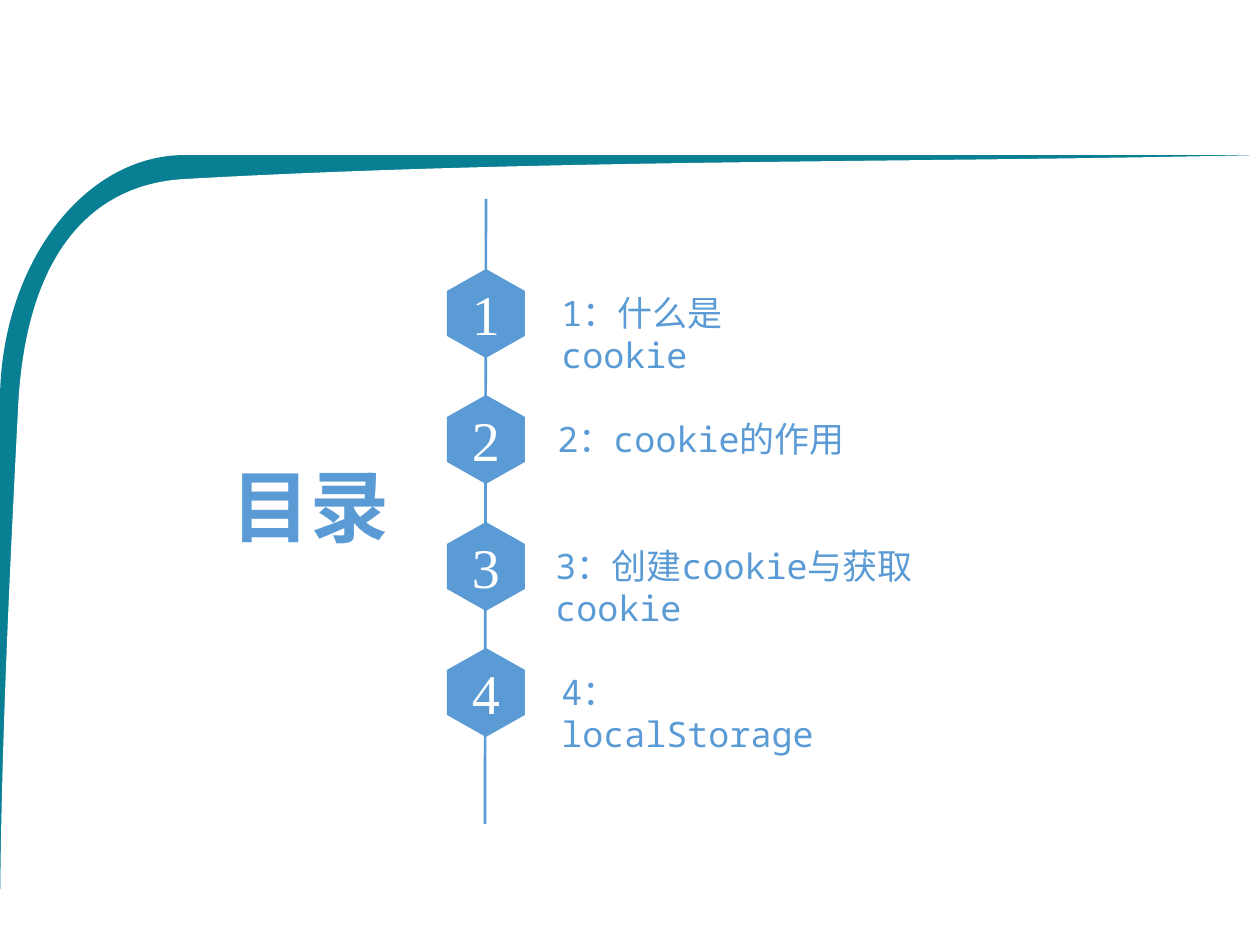
import pptx
import pptx.util
import pptx.dml.color
import pptx.enum.shapes
import pptx.enum.text
import pptx.oxml
import pptx.oxml.ns
from dataclasses import dataclass

PX = 914400 / 126


@dataclass(frozen=True)
class Theme:
    blue: str = "5B9BD5"
    teal: str = "087F92"
    white: str = "FFFFFF"
    text_font: str = "Noto Sans Mono"
    number_font: str = "Times New Roman"
    title_size: int = 45
    number_size: int = 32
    item_size: int = 20
    line_width: float = 1.5


THEME = Theme()

# Contents: left, width and wording of each entry
ENTRIES = [
    (549, 309, "1：什么是cookie"),
    (545, 318, "2：cookie的作用"),
    (543, 503, "3：创建cookie与获取cookie"),
    (549, 301, "4：localStorage"),
]

# Backdrop: colour, corner points, and the first point of each curve
BACKDROP = [
    (THEME.teal,
     [(185, 155), (1260, 155), (1260, 945), (0, 945), (0, 402),
      (0, 266), (83, 155), (185, 155)],
     [5]),
    (THEME.white,
     [(185, 179), (543, 159), (902, 163), (1260, 155), (1260, 945), (0, 945),
      (0, 764), (10, 568), (18, 411), (25, 252), (93, 184), (185, 179)],
     [1, 6, 9]),
]


def emu(px):
    return pptx.util.Emu(round(px * PX))


def rgb(color):
    return pptx.dml.color.RGBColor.from_string(color)


def bend(outline, curve_starts):
    """Turn each run of three straight segments into one cubic curve."""
    qn = pptx.oxml.ns.qn
    path = next(outline.element.iter(qn("a:path")))
    segments = list(path)
    for start in curve_starts:
        curve = pptx.oxml.parse_xml("<a:cubicBezTo %s/>" % pptx.oxml.ns.nsdecls("a"))
        segments[start].addprevious(curve)
        for segment in segments[start:start + 3]:
            curve.append(segment.find(qn("a:pt")))
            path.remove(segment)


def add_outline(slide, points, color):
    corners = [(emu(x), emu(y)) for x, y in points]
    builder = slide.shapes.build_freeform(*corners[0], scale=1.0)
    builder.add_line_segments(corners[1:], close=True)
    outline = builder.convert_to_shape()
    outline.shadow.inherit = False
    outline.fill.solid()
    outline.fill.fore_color.rgb = rgb(color)
    outline.line.fill.background()
    return outline


def write(shape, text, font, size, color, align, bold=False):
    frame = shape.text_frame
    frame.text = text
    frame.paragraphs[0].alignment = align
    run = frame.paragraphs[0].runs[0]
    run.font.name = font
    run.font.size = pptx.util.Pt(size)
    run.font.bold = bold
    run.font.color.rgb = rgb(color)


def add_backdrop(slide):
    """Teal sweep with a white panel over it, kept on the master."""
    master_tree = slide.slide_layout.slide_master.shapes.element
    for position, (color, points, curve_starts) in enumerate(BACKDROP):
        outline = add_outline(slide, points, color)
        bend(outline, curve_starts)
        master_tree.insert(2 + position, outline.element)


def add_title(slide, text):
    title = slide.shapes.title
    title.left, title.top, title.width, title.height = map(emu, (219, 451, 183, 107))
    title.text_frame.word_wrap = False
    title.text_frame.auto_size = pptx.enum.text.MSO_AUTO_SIZE.NONE
    title.text_frame.vertical_anchor = pptx.enum.text.MSO_ANCHOR.TOP
    write(title, text, THEME.text_font, THEME.title_size, THEME.blue,
          pptx.enum.text.PP_ALIGN.LEFT, bold=True)


def add_spine(slide):
    spine = slide.shapes.add_connector(
        pptx.enum.shapes.MSO_CONNECTOR.STRAIGHT, *map(emu, (486, 199, 485, 824)))
    spine.line.color.rgb = rgb(THEME.blue)
    spine.line.width = pptx.util.Pt(THEME.line_width)
    properties = spine.element.find(pptx.oxml.ns.qn("p:spPr"))
    properties.append(pptx.oxml.parse_xml(
        "<a:effectLst %s/>" % pptx.oxml.ns.nsdecls("a")))


def add_number(slide, top, number):
    left, middle, right = 447, 486, 525
    hexagon = add_outline(slide, [
        (middle, top), (right, top + 22), (right, top + 67),
        (middle, top + 89), (left, top + 67), (left, top + 22)], THEME.blue)
    hexagon.text_frame.vertical_anchor = pptx.enum.text.MSO_ANCHOR.MIDDLE
    write(hexagon, str(number), THEME.number_font, THEME.number_size, THEME.white,
          pptx.enum.text.PP_ALIGN.CENTER)


def add_entry(slide, left, top, width, text):
    entry = slide.shapes.add_textbox(*map(emu, (left, top, width, 55)))
    entry.text_frame.word_wrap = True
    write(entry, text, THEME.text_font, THEME.item_size, THEME.blue,
          pptx.enum.text.PP_ALIGN.LEFT)


def main():
    deck = pptx.Presentation()
    deck.slide_width, deck.slide_height = emu(1260), emu(945)
    slide = deck.slides.add_slide(deck.slide_layouts[5])

    add_backdrop(slide)
    add_title(slide, "目录")
    add_spine(slide)

    # Four entries at an even pitch of 126.5 px
    for index, (left, width, text) in enumerate(ENTRIES):
        drop = index * 253 // 2
        add_entry(slide, left, 285 + drop, width, text)
        add_number(slide, 269 + drop, index + 1)

    deck.save("out.pptx")


if __name__ == "__main__":
    main()
